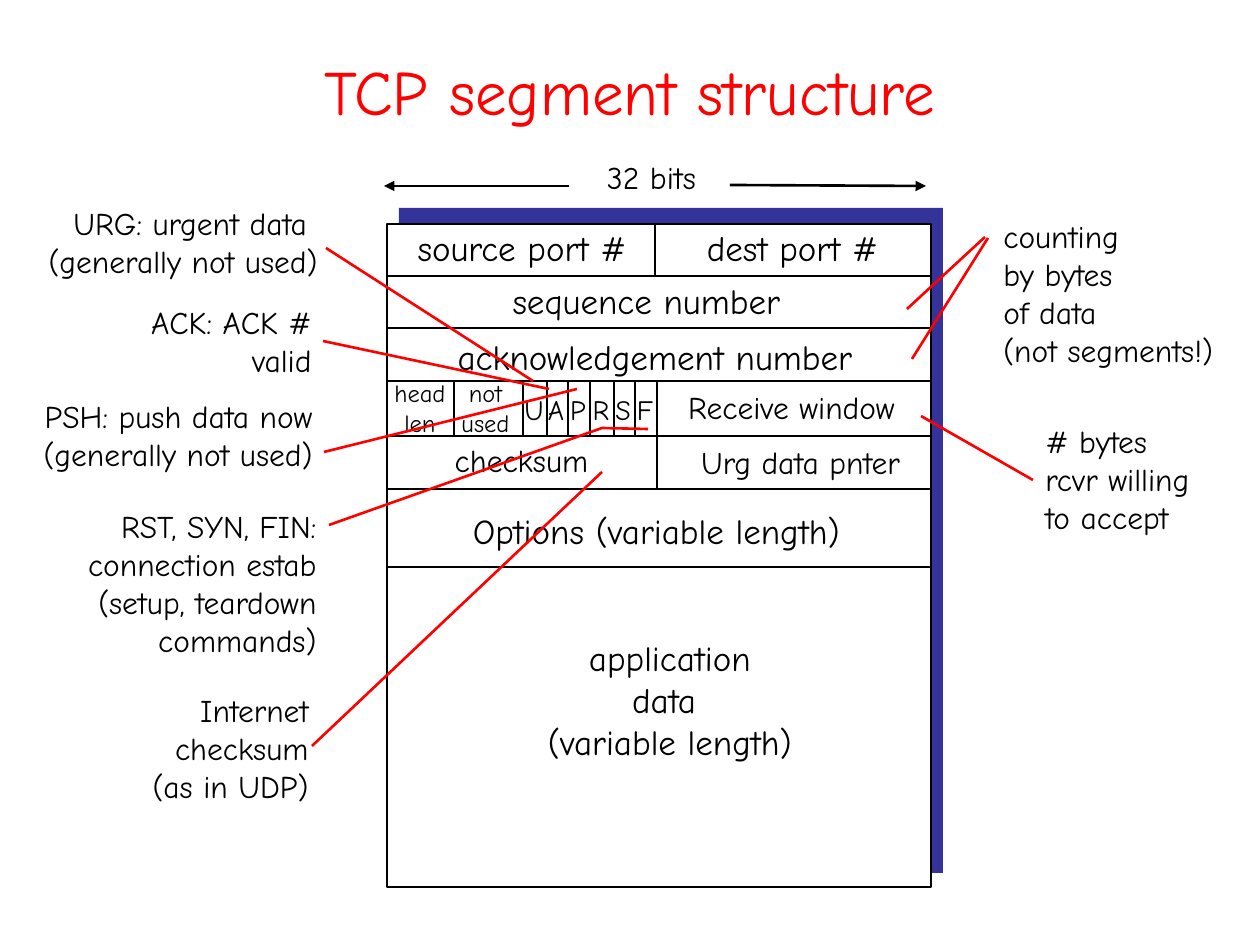
from dataclasses import dataclass
from itertools import pairwise

import lxml.etree
import pptx
import pptx.dml.color
import pptx.enum.shapes
import pptx.enum.text
import pptx.oxml.ns
import pptx.util

PX = 914400 / 126
FONT = "Comic Neue"
LINE_WIDTH = pptx.util.Pt(1.5)
COLORS = {"ink": "000000", "accent": "FF0000", "paper": "FFFFFF", "shade": "333399"}
ALIGN = pptx.enum.text.PP_ALIGN
ANCHOR = pptx.enum.text.MSO_ANCHOR
AUTO_SIZE = pptx.enum.text.MSO_AUTO_SIZE
SHAPE = pptx.enum.shapes.MSO_SHAPE
qn = pptx.oxml.ns.qn


@dataclass
class Label:
    left: int
    top: int
    width: int
    height: int
    text: str
    size: int = 18
    align: ALIGN = ALIGN.CENTER
    color: str = "ink"
    anchor: ANCHOR = ANCHOR.TOP


@dataclass
class Segment:
    start: tuple[int, int]
    end: tuple[int, int]
    color: str = "ink"
    arrow: bool = False


def emu(px: float) -> int:
    return round(px * PX)


def rgb(name: str) -> pptx.dml.color.RGBColor:
    return pptx.dml.color.RGBColor.from_string(COLORS[name])


def apply(target, formats: dict) -> None:
    for attribute, value in formats.items():
        setattr(target, attribute, value)


def draw_label(slide, label: Label) -> None:
    box = slide.shapes.add_textbox(
        *map(emu, (label.left, label.top, label.width, label.height)))
    frame = box.text_frame
    frame.text = label.text
    apply(frame, {"word_wrap": False, "vertical_anchor": label.anchor,
                  "auto_size": AUTO_SIZE.NONE if label.anchor == ANCHOR.MIDDLE
                  else AUTO_SIZE.SHAPE_TO_FIT_TEXT})
    for paragraph in frame.paragraphs:
        paragraph.alignment = label.align
        apply(paragraph.font, {"name": FONT, "size": pptx.util.Pt(label.size)})
        paragraph.font.color.rgb = rgb(label.color)


def draw_segment(slide, segment: Segment) -> None:
    connector = slide.shapes.add_connector(
        pptx.enum.shapes.MSO_CONNECTOR.STRAIGHT,
        *map(emu, (*segment.start, *segment.end)))
    connector.line.width = LINE_WIDTH
    connector.line.color.rgb = rgb(segment.color)
    properties = connector._element.spPr
    if segment.arrow:
        lxml.etree.SubElement(properties.find(qn("a:ln")), qn("a:tailEnd"), type="triangle")
    lxml.etree.SubElement(properties, qn("a:effectLst"))


def draw_panel(slide, bounds: tuple[int, int, int, int], fill: str, outlined: bool) -> None:
    panel = slide.shapes.add_shape(SHAPE.RECTANGLE, *map(emu, bounds))
    panel.shadow.inherit = False
    panel.fill.solid()
    panel.fill.fore_color.rgb = rgb(fill)
    if outlined:
        panel.line.width = LINE_WIDTH
        panel.line.color.rgb = rgb("ink")
    else:
        panel.line.fill.background()


def draw_bent_pointer(slide, points: list[tuple[int, int]]) -> None:
    builder = slide.shapes.build_freeform(*points[0], scale=PX)
    builder.add_line_segments(points[1:], close=False)
    pointer = builder.convert_to_shape()
    pointer.shadow.inherit = False
    pointer.fill.background()
    pointer.line.width = LINE_WIDTH
    pointer.line.color.rgb = rgb("accent")


HEADER_LEFT, HEADER_RIGHT, HEADER_TOP = 387, 931, 224
ROW_EDGES = [276, 328, 381, 436, 489, 567]
FLAGS_TOP, FLAGS_BOTTOM, CHECKSUM_BOTTOM = ROW_EDGES[2:5]
PORT_EDGE, HALF_EDGE = 655, 657
HEAD_LEN_EDGE = 454
FLAG_EDGES = [523, 547, 568, 590, 614, 635, HALF_EDGE]

header_lines = [
    *(Segment((HEADER_LEFT, y), (HEADER_RIGHT, y)) for y in ROW_EDGES),
    *(Segment((x, FLAGS_TOP), (x, FLAGS_BOTTOM)) for x in [HEAD_LEN_EDGE, *FLAG_EDGES[:-1]]),
    Segment((PORT_EDGE, HEADER_TOP), (PORT_EDGE, ROW_EDGES[0])),
    Segment((HALF_EDGE, FLAGS_TOP), (HALF_EDGE, CHECKSUM_BOTTOM)),
    Segment((730, 185), (926, 186), arrow=True),
    Segment((569, 186), (384, 186), arrow=True),
]

FLAG_WIDTH = 44
flags = [
    Label((left + right) // 2 - 1 - FLAG_WIDTH // 2, 386, FLAG_WIDTH, 47, letter, 16)
    for letter, (left, right) in zip("UAPRSF", pairwise(FLAG_EDGES))
]

fields = [
    Label(586, 152, 131, 50, "32 bits"),
    Label(400, 220, 244, 55, "source port #", 20),
    Label(689, 220, 207, 55, "dest port #", 20),
    Label(475, 273, 343, 55, "sequence number", 20),
    Label(420, 329, 470, 55, "acknowledgement number", 20),
    Label(377, 372, 86, 72, "head\nlen", 14),
    Label(444, 372, 83, 72, "not\nused", 14),
    Label(670, 382, 243, 50, "Receive window"),
    Label(437, 435, 169, 50, "checksum"),
    Label(682, 437, 237, 50, "Urg data pnter"),
    Label(455, 503, 403, 55, "Options (variable length)", 20),
    Label(530, 630, 280, 139, "application\ndata \n(variable length)", 20),
]

notes = [
    Label(25, 198, 305, 88, "URG: urgent data \n(generally not used)", align=ALIGN.RIGHT),
    Label(119, 297, 205, 88, "ACK: ACK #\nvalid", align=ALIGN.RIGHT),
    Label(20, 391, 305, 88, "PSH: push data now\n(generally not used)", align=ALIGN.RIGHT),
    Label(64, 501, 265, 164,
          "RST, SYN, FIN:\nconnection estab\n(setup, teardown\ncommands)", align=ALIGN.RIGHT),
    Label(130, 685, 191, 126, "Internet\nchecksum\n(as in UDP)", align=ALIGN.RIGHT),
    Label(991, 211, 254, 164,
          "counting\nby bytes\nof data\n(not segments!)", align=ALIGN.LEFT),
    Label(1033, 416, 180, 126, "# bytes\nrcvr willing\nto accept", align=ALIGN.LEFT),
]

pointers = [
    Segment(start, end, "accent") for start, end in [
        ((326, 248), (533, 381)),
        ((323, 341), (549, 389)),
        ((324, 452), (577, 389)),
        ((312, 746), (602, 472)),
        ((1033, 480), (921, 416)),
        ((988, 238), (912, 359)),
        ((985, 237), (907, 309)),
    ]
]


def main() -> None:
    deck = pptx.Presentation()
    apply(deck, {"slide_width": pptx.util.Inches(10), "slide_height": pptx.util.Inches(7.5)})
    slide = deck.slides.add_slide(deck.slide_layouts[6])
    draw_label(slide, Label(63, 38, 1134, 105, "TCP segment structure", 36,
                            color="accent", anchor=ANCHOR.MIDDLE))
    draw_panel(slide, (399, 208, 544, 665), "shade", outlined=False)
    draw_panel(slide, (HEADER_LEFT, HEADER_TOP, HEADER_RIGHT - HEADER_LEFT, 663),
               "paper", outlined=True)
    for line in header_lines:
        draw_segment(slide, line)
    for label in fields + flags + notes:
        draw_label(slide, label)
    for pointer in pointers:
        draw_segment(slide, pointer)
    draw_bent_pointer(slide, [(329, 525), (602, 428), (648, 429)])
    deck.save("out.pptx")


if __name__ == "__main__":
    main()
